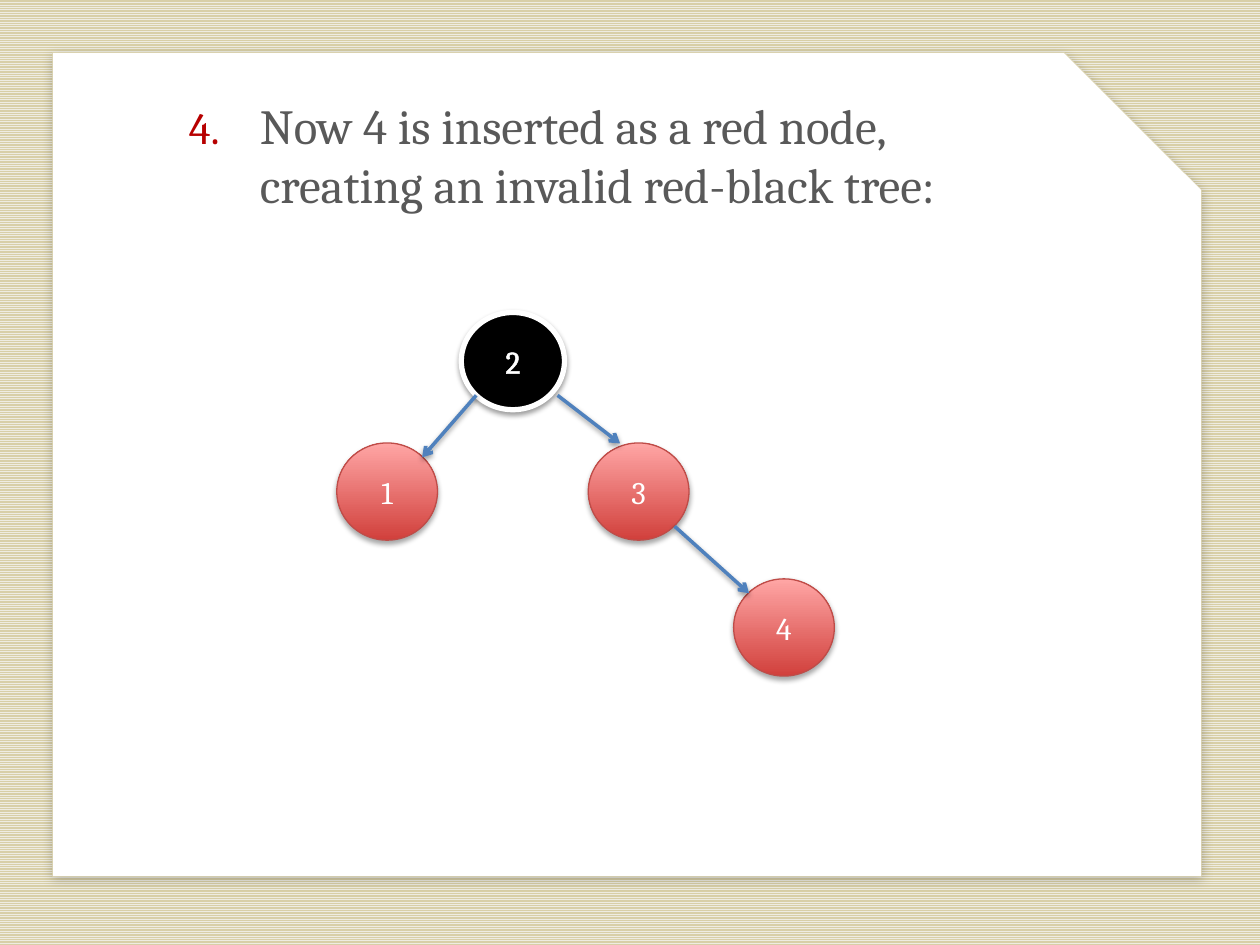
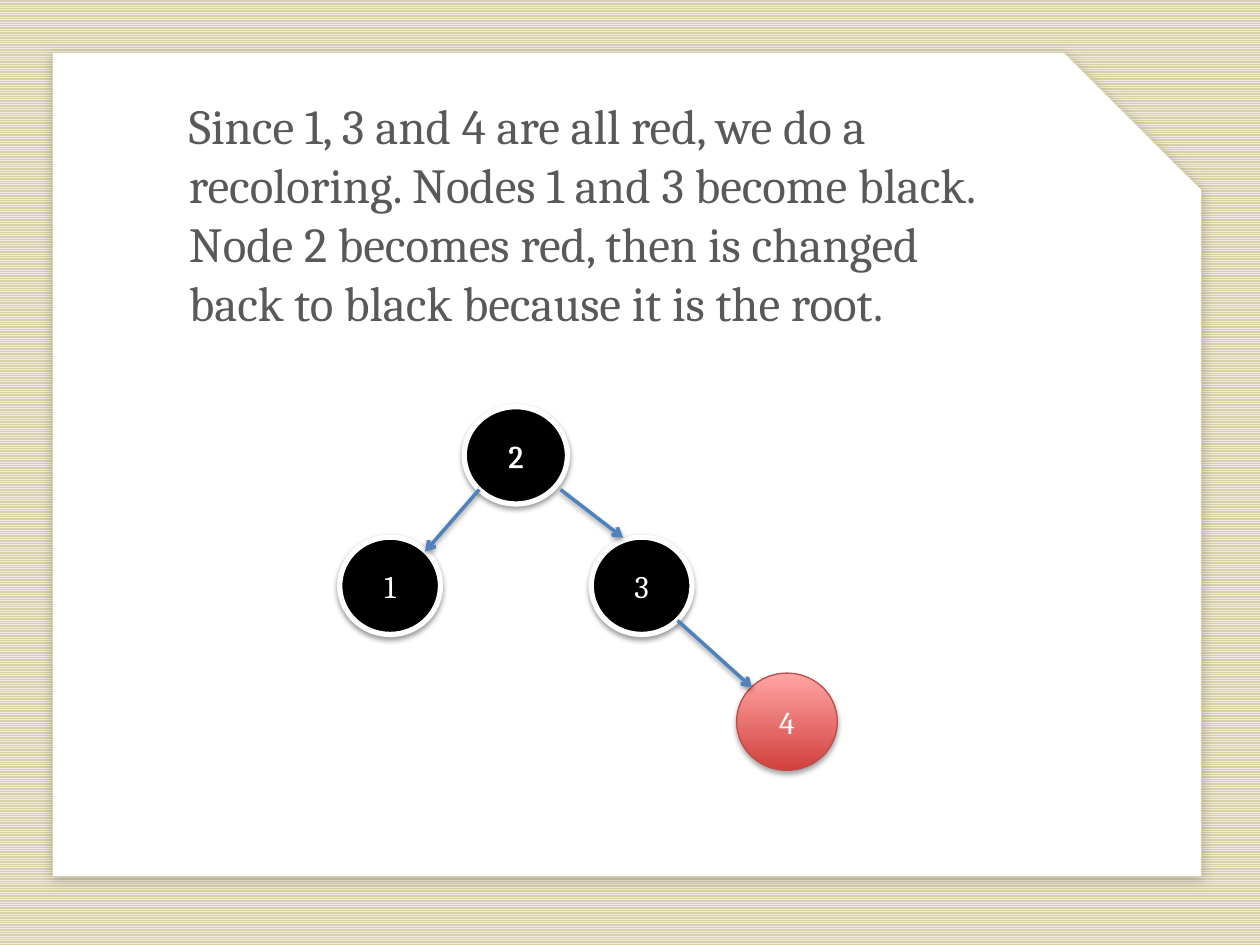
from lxml.etree import SubElement
from pptx import Presentation
from pptx.dml.color import RGBColor
from pptx.enum.dml import MSO_PATTERN
from pptx.enum.shapes import MSO_CONNECTOR, MSO_SHAPE
from pptx.enum.text import MSO_ANCHOR, PP_ALIGN
from pptx.oxml.ns import qn
from pptx.util import Cm, Pt

FONT = "Cambria"
WHITE, BLACK, SAND, CREAM = "FFFFFF", "000000", "D8CFA7", "EEECE1"
BODY, NUMERAL, EDGE = "595959", "B70000", "4F81BD"
RED_STOPS, RED_RIM = ("D1403C", "FFA6A5"), "BF4C48"

CARD_SHADOW = {"alpha": 22, "blur": 6, "dist": 2, "angle": 80}
RED_SHADOW = {"alpha": 35, "blur": 3.1, "dist": 1.8, "angle": 90}
BLACK_SHADOW = {"alpha": 38, "blur": 3.1, "dist": 1.6, "angle": 90}

ROOT = "2"
NODE_OFFSETS = {"1": (-2.51, 2.63), ROOT: (0, 0), "3": (2.56, 2.63), "4": (5.49, 5.37)}
EDGE_OFFSETS = [
    ((0.3, 1.67), (-0.79, 2.92)),
    ((1.94, 1.67), (3.2, 2.64)),
    ((4.3, 4.31), (5.8, 5.66)),
]

STEPS = [
    {
        "text": "Now 4 is inserted as a red node, creating an invalid red-black tree:",
        "number": 4,
        "root_at": (9.3, 6.3),
        "red_nodes": {"1", "3", "4"},
    },
    {
        "text": "Since 1, 3 and 4 are all red, we do a recoloring. Nodes 1 and 3 become "
                "black. Node 2 becomes red, then is changed back to black because it is the root.",
        "number": None,
        "root_at": (9.36, 8.2),
        "red_nodes": {"4"},
    },
]


def colour(value):
    return RGBColor.from_string(value)


def apply_format(target, values):
    for name, value in values.items():
        setattr(target, name, value)


def add_xml(parent, tag, **attributes):
    return SubElement(parent, qn(tag), {key: str(value) for key, value in attributes.items()})


def set_line(line, value, width):
    line.color.rgb = colour(value)
    line.width = Pt(width)


def set_shadow(part, alpha, blur, dist, angle):
    effects = add_xml(part._element.spPr, "a:effectLst")
    outer = add_xml(effects, "a:outerShdw", blurRad=Pt(blur), dist=Pt(dist),
                    dir=angle * 60000, rotWithShape=0)
    black = add_xml(outer, "a:srgbClr", val=BLACK)
    add_xml(black, "a:alpha", val=alpha * 1000)


def set_font(run, size, value):
    apply_format(run.font, {"name": FONT, "size": Pt(size)})
    run.font.color.rgb = colour(value)


def outline_text(run, value, width):
    outline = add_xml(run._r.get_or_add_rPr(), "a:ln", w=Pt(width))
    add_xml(add_xml(outline, "a:solidFill"), "a:srgbClr", val=value)
    run._r.rPr.insert(0, outline)


def set_background(master):
    fill = master.background.fill
    fill.patterned()
    fill.pattern = MSO_PATTERN.NARROW_HORIZONTAL
    fill.fore_color.rgb = colour(CREAM)
    fill.back_color.rgb = colour(SAND)


def add_card(slide):
    card = slide.shapes.add_shape(MSO_SHAPE.SNIP_1_RECTANGLE,
                                  Cm(1.06), Cm(1.06), Cm(23.16), Cm(16.61))
    card.fill.solid()
    card.fill.fore_color.rgb = colour(WHITE)
    set_line(card.line, SAND, 0.25)
    set_shadow(card, **CARD_SHADOW)


def add_explanation(slide, text, number):
    frame = slide.shapes.add_textbox(Cm(3.81), Cm(1.93), Cm(16.74), Cm(13.08)).text_frame
    apply_format(frame, {"word_wrap": True, "margin_left": 0, "margin_right": 0,
                         "margin_top": 0, "margin_bottom": 0})
    paragraph = frame.paragraphs[0]
    properties = paragraph._p.get_or_add_pPr()
    add_xml(add_xml(properties, "a:spcBef"), "a:spcPct", val=20000)
    if number:
        properties.set("marL", str(Cm(1.43)))
        properties.set("indent", str(-Cm(1.43)))
        add_xml(add_xml(properties, "a:buClr"), "a:srgbClr", val=NUMERAL)
        add_xml(properties, "a:buSzPct", val=90000)
        add_xml(properties, "a:buAutoNum", type="arabicPeriod", startAt=number)
    run = paragraph.add_run()
    run.text = text
    set_font(run, 28, BODY)


def paint_red(node):
    node.fill.gradient()
    node.fill.gradient_angle = 90
    for stop, value in zip(node.fill.gradient_stops, RED_STOPS):
        stop.color.rgb = colour(value)
    set_line(node.line, RED_RIM, 0.75)
    set_shadow(node, **RED_SHADOW)


def paint_black(node):
    node.fill.solid()
    node.fill.fore_color.rgb = colour(BLACK)
    set_line(node.line, WHITE, 3)
    set_shadow(node, **BLACK_SHADOW)


def add_node(slide, key, left, top, is_red):
    width = 2.08 if key == ROOT else 2.03
    node = slide.shapes.add_shape(MSO_SHAPE.OVAL, Cm(left), Cm(top), Cm(width), Cm(1.96))
    paint = paint_red if is_red else paint_black
    paint(node)
    node.text_frame.vertical_anchor = MSO_ANCHOR.MIDDLE
    paragraph = node.text_frame.paragraphs[0]
    paragraph.alignment = PP_ALIGN.CENTER
    run = paragraph.add_run()
    run.text = key
    set_font(run, 18, WHITE)
    if key == ROOT:
        outline_text(run, WHITE, 1.45)


def add_edge(slide, start, end):
    edge = slide.shapes.add_connector(MSO_CONNECTOR.STRAIGHT, *map(Cm, start + end))
    set_line(edge.line, EDGE, 2)
    add_xml(edge.line._ln, "a:tailEnd", type="arrow")
    set_shadow(edge, **BLACK_SHADOW)


def add_tree(slide, root_at, red_nodes):
    def place(offset):
        return root_at[0] + offset[0], root_at[1] + offset[1]

    for key, offset in NODE_OFFSETS.items():
        add_node(slide, key, *place(offset), key in red_nodes)
    for start, end in EDGE_OFFSETS:
        add_edge(slide, place(start), place(end))


def main():
    deck = Presentation()
    apply_format(deck, {"slide_width": Cm(25.4), "slide_height": Cm(19.05)})
    set_background(deck.slide_master)
    for step in STEPS:
        slide = deck.slides.add_slide(deck.slide_layouts[6])
        add_card(slide)
        add_explanation(slide, step["text"], step["number"])
        add_tree(slide, step["root_at"], step["red_nodes"])
    deck.save("out.pptx")


if __name__ == "__main__":
    main()
